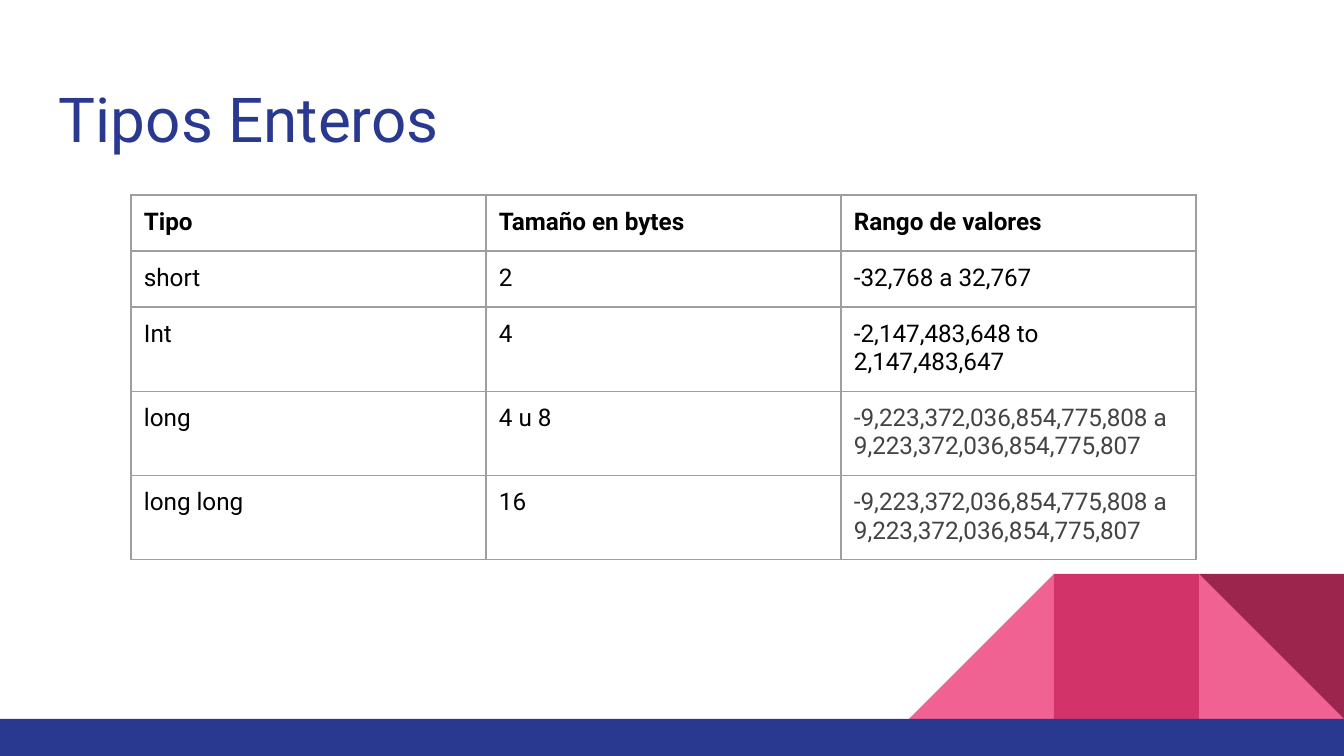
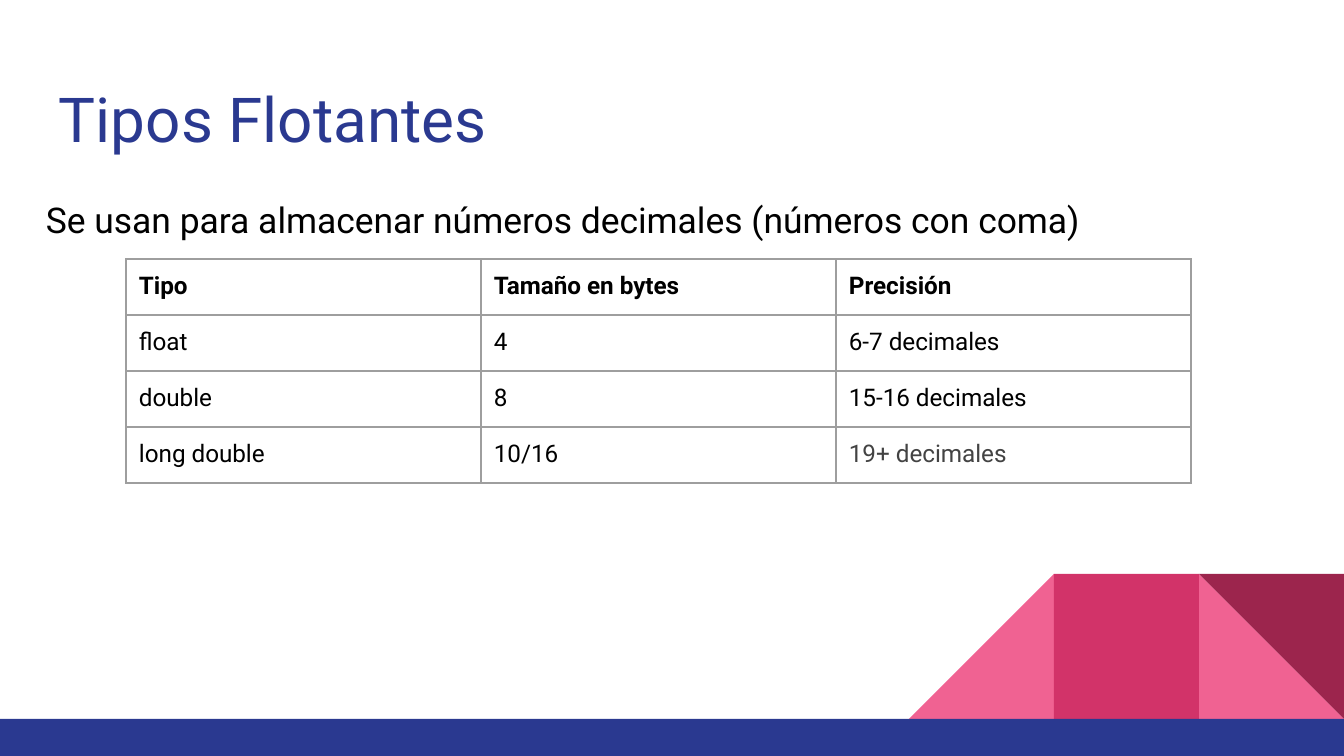
from lxml.etree import SubElement
from pptx import Presentation
from pptx.dml.color import RGBColor
from pptx.enum.shapes import MSO_SHAPE
from pptx.enum.text import MSO_ANCHOR
from pptx.oxml.ns import qn
from pptx.util import Emu, Pt

# Shared look
WIDTH, HEIGHT = 1344, 756
FONT = "Roboto"
BLUE, PINK, ROSE, WINE = "2A3990", "F06292", "D23369", "9C254D"
BLACK, GRAY, BORDER = "000000", "434343", "9E9E9E"
INSET = 13
TILE = 145
BAR_TOP = 719
COL_W, ROW_H = 355, 56


def px(n):
    return Emu(round(n * 914400 / 134.4))


def rgb(value):
    return RGBColor.from_string(value)


def write(tf, text, size=13, color=BLACK, bold=False, spacing=None, before=None):
    p = tf.paragraphs[0]
    p.line_spacing = spacing
    if before is not None:
        p.space_before = Pt(before)
    r = p.add_run()
    r.text = text
    r.font.name = FONT
    r.font.size = Pt(size)
    r.font.bold = bold
    r.font.color.rgb = rgb(color)


def set_insets(box, left=INSET):
    box.margin_left = px(left)
    box.margin_top = box.margin_right = box.margin_bottom = px(INSET)


def add_text(s, text, x, y, w, h, left=INSET, anchor=MSO_ANCHOR.TOP, **fmt):
    tf = s.shapes.add_textbox(px(x), px(y), px(w), px(h)).text_frame
    tf.word_wrap = True
    tf.vertical_anchor = anchor
    set_insets(tf, left)
    write(tf, text, **fmt)


def add_block(s, kind, x, y, w, h, color, flip=False, rotation=0):
    sp = s.shapes.add_shape(kind, px(x), px(y), px(w), px(h))
    sp.shadow.inherit = False
    sp.fill.solid()
    sp.fill.fore_color.rgb = rgb(color)
    sp.line.fill.background()
    sp.rotation = rotation
    if flip:
        sp.element.spPr.find(qn("a:xfrm")).set("flipH", "1")


def add_decor(s):
    x1, x2, x3 = (WIDTH - n * TILE for n in (3, 2, 1))
    tri, rect = MSO_SHAPE.RIGHT_TRIANGLE, MSO_SHAPE.RECTANGLE
    tile = (BAR_TOP - TILE, TILE, TILE)
    add_block(s, tri, x3, *tile, PINK)
    add_block(s, tri, x1, *tile, PINK, flip=True)
    add_block(s, rect, x2, *tile, ROSE)
    add_block(s, tri, x3, *tile, WINE, rotation=180)
    add_block(s, rect, 0, BAR_TOP, WIDTH, HEIGHT - BAR_TOP, BLUE)


def add_borders(cell):
    tc_pr = cell._tc.get_or_add_tcPr()
    for i, side in enumerate(("a:lnL", "a:lnR", "a:lnT", "a:lnB")):
        ln = SubElement(tc_pr, qn(side), w=str(Pt(0.75)))
        fill = SubElement(ln, qn("a:solidFill"))
        SubElement(fill, qn("a:srgbClr"), val=BORDER)
        # Borders come before the fill in a cell's properties
        tc_pr.insert(i, ln)


def add_grid(s, x, y, rows, muted):
    """Draw a table whose last column is gray in the final `muted` rows."""
    n_rows, n_cols = len(rows), len(rows[0])
    table = s.shapes.add_table(n_rows, n_cols, px(x), px(y),
                               px(n_cols * COL_W), px(n_rows * ROW_H)).table
    table.first_row = table.horz_banding = False
    for col in table.columns:
        col.width = px(COL_W)
    for i, row in enumerate(rows):
        table.rows[i].height = px(ROW_H)
        for j, text in enumerate(row):
            cell = table.cell(i, j)
            cell.fill.background()
            set_insets(cell)
            add_borders(cell)
            is_gray = j == n_cols - 1 and i >= n_rows - muted
            write(cell.text_frame, text, bold=i == 0, color=GRAY if is_gray else BLACK)


def add_slide(prs, title):
    s = prs.slides.add_slide(prs.slide_layouts[6])
    s.background.fill.solid()
    s.background.fill.fore_color.rgb = rgb("FFFFFF")
    add_decor(s)
    add_text(s, title, 46, 66, 1201, 103, anchor=MSO_ANCHOR.MIDDLE, size=33.2, color=BLUE)
    return s


def main():
    prs = Presentation()
    prs.slide_width, prs.slide_height = px(WIDTH), px(HEIGHT)

    # Integer types
    s = add_slide(prs, "Tipos Enteros")
    long_range = "-9,223,372,036,854,775,808 a 9,223,372,036,854,775,807"
    add_grid(s, 131, 195, [
        ("Tipo", "Tamaño en bytes", "Rango de valores"),
        ("short", "2", "-32,768 a 32,767"),
        ("Int", "4", "-2,147,483,648 to 2,147,483,647"),
        ("long", "4 u 8", long_range),
        ("long long", "16", long_range),
    ], muted=2)

    # Floating-point types
    s = add_slide(prs, "Tipos Flotantes")
    add_text(s, "Se usan para almacenar números decimales (números con coma)",
             46, 179, 1253, 493, left=0, size=19, spacing=1.15, before=12)
    add_grid(s, 126, 259, [
        ("Tipo", "Tamaño en bytes", "Precisión"),
        ("float", "4", "6-7 decimales"),
        ("double", "8", "15-16 decimales"),
        ("long double", "10/16", "19+ decimales"),
    ], muted=1)

    prs.save("out.pptx")


if __name__ == "__main__":
    main()
